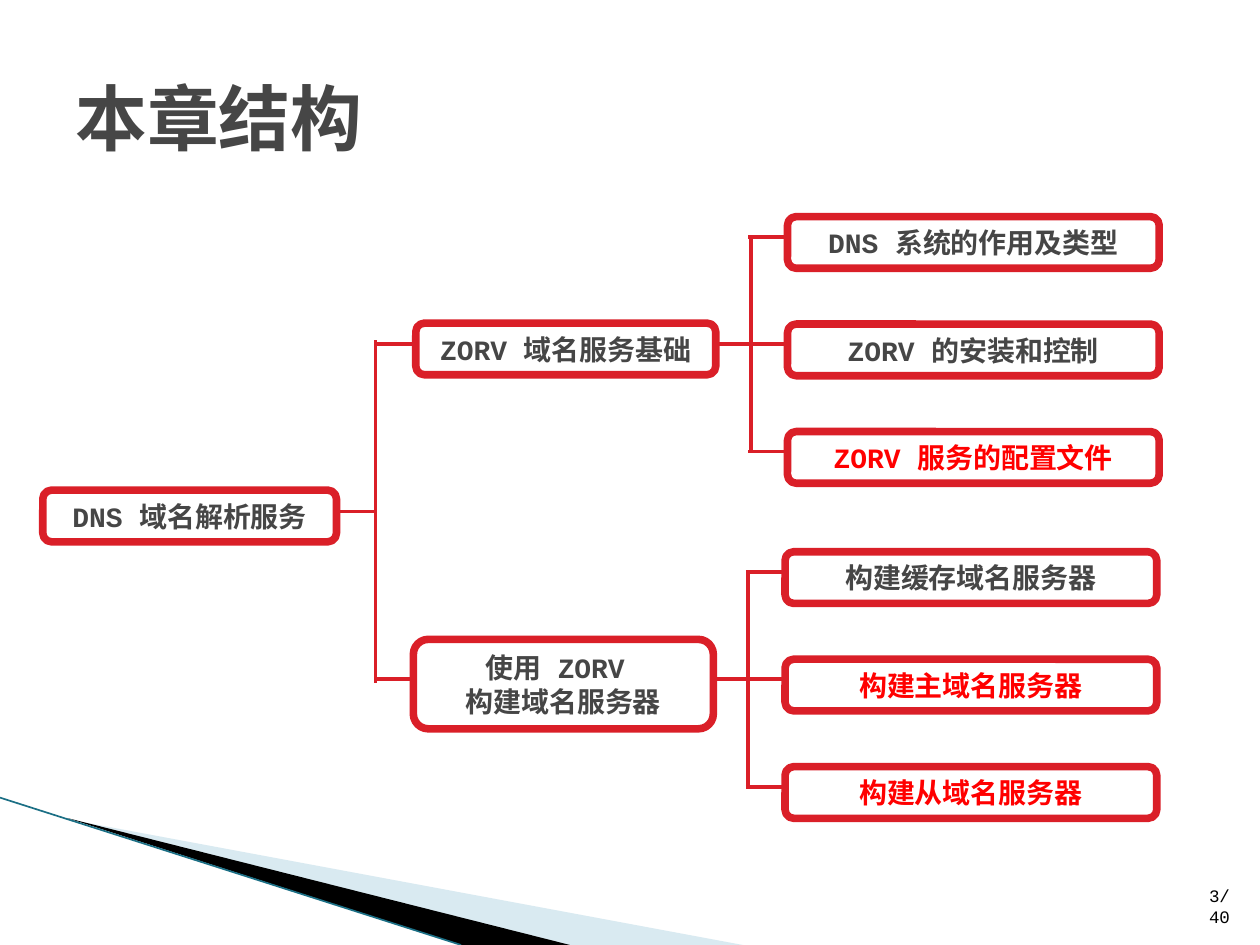
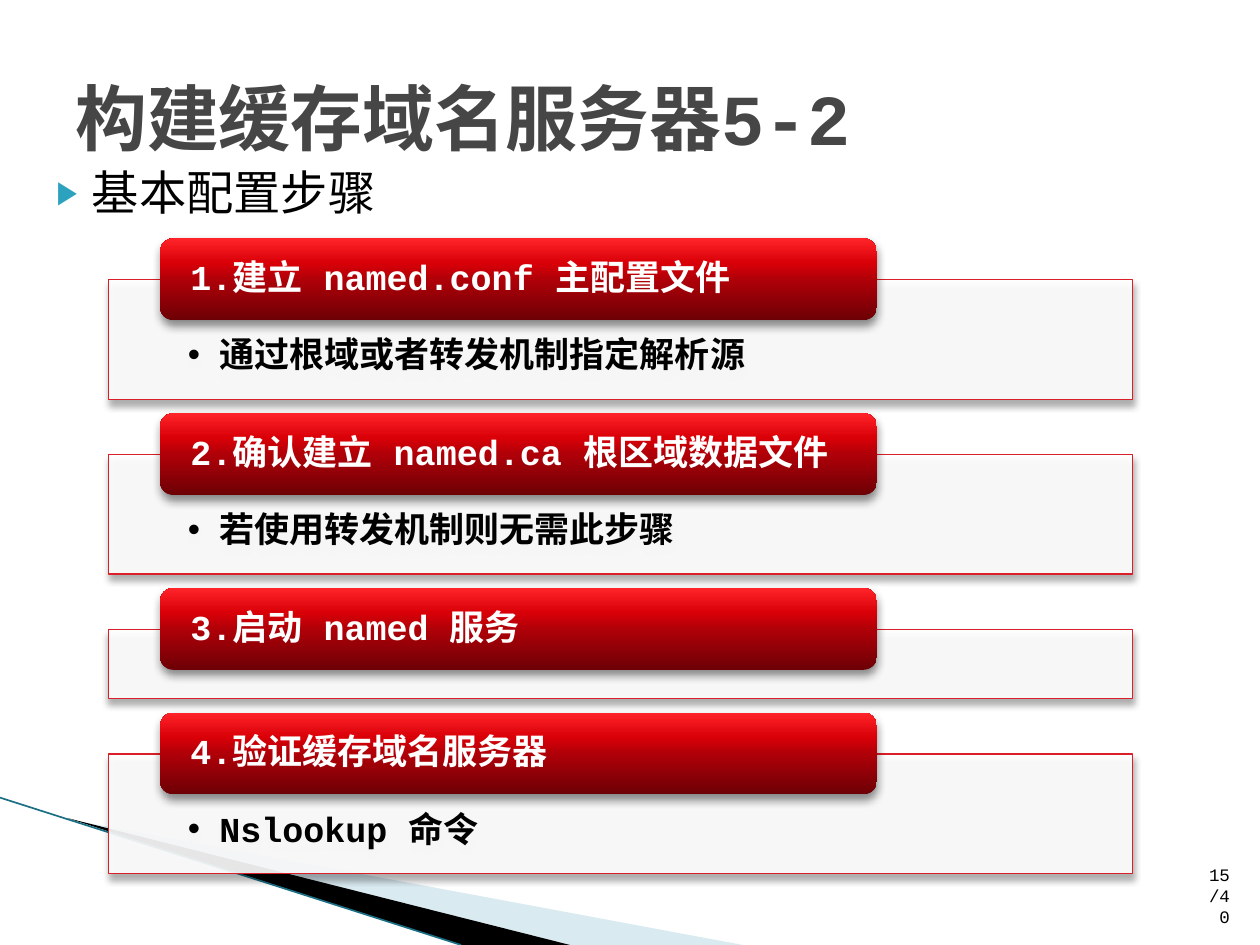
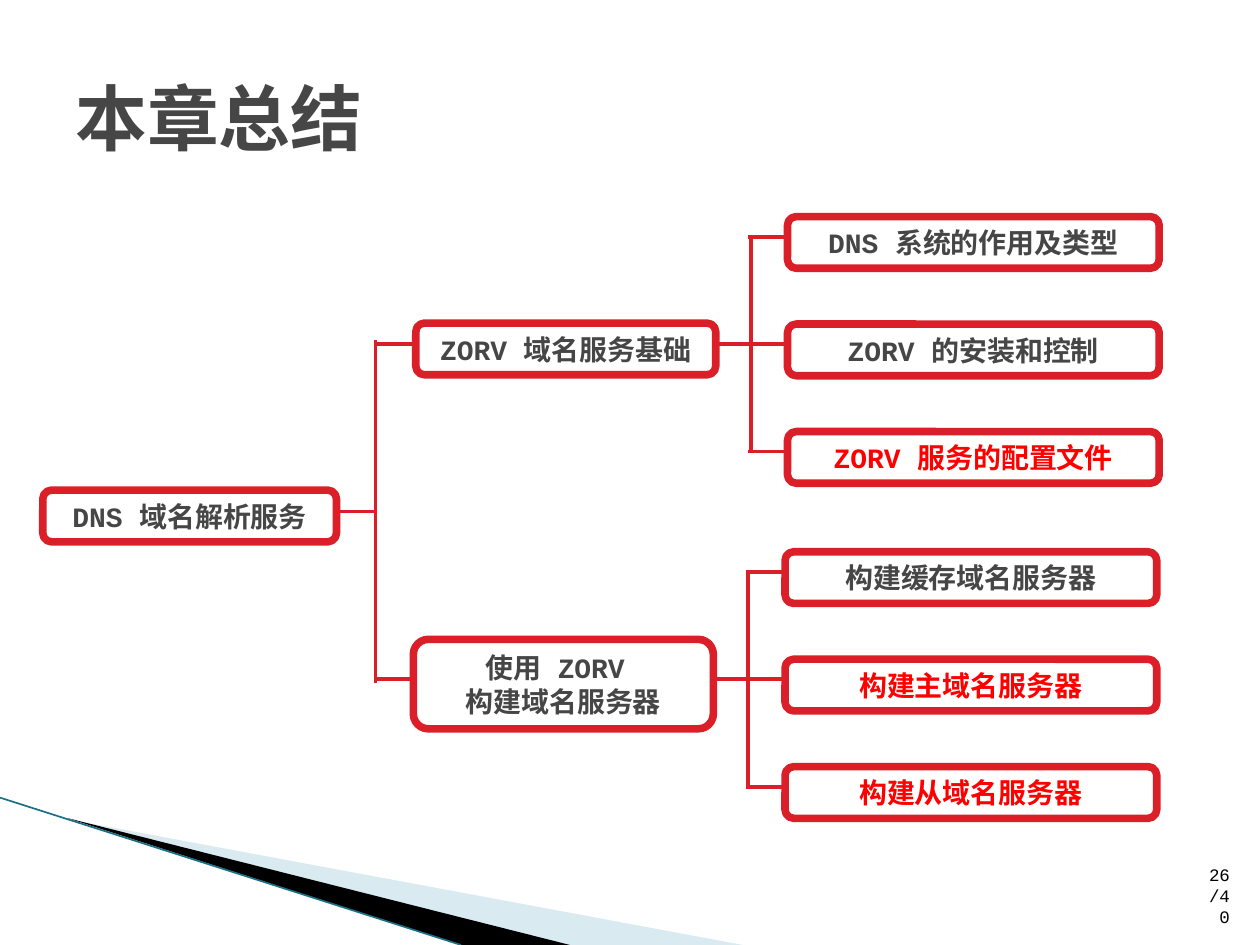
from dataclasses import dataclass
from typing import Optional

from lxml import etree
from pptx import Presentation
from pptx import util as u
from pptx.dml import color as dml
from pptx.enum import shapes as es
from pptx.enum import text as et
from pptx.oxml import ns


@dataclass(frozen=True)
class Theme:
    font: str = "Courier New"
    white: str = "FFFFFF"
    ink: str = "000000"
    heading: str = "464646"
    accent: str = "DA1F28"
    highlight: str = "FF0000"
    marker: str = "2DA2BF"
    swoosh: str = "A0CBDC"
    swoosh_edge: str = "1B6F85"
    title_size: float = 41
    body_size: float = 27
    step_size: float = 20
    node_size: float = 16
    number_size: float = 10
    node_border: float = 4.33
    link_width: float = 2.25


@dataclass(frozen=True)
class Box:
    left: float
    top: float
    width: float
    height: float


@dataclass(frozen=True)
class Leaf:
    label: str
    highlighted: bool = False


@dataclass(frozen=True)
class Branch:
    left: float
    axis: float
    topic: tuple[str, ...]
    topic_height: float
    leaves: tuple[Leaf, ...]


@dataclass(frozen=True)
class Step:
    header: str
    detail: Optional[str] = None


THEME = Theme()
SLIDE_W, SLIDE_H = 720, 540
PAGE_COUNT = 40
NODE_H = 29.5
GRADIENT = ((0, "6D0005"), (50, "B00008"), (70, "DA0008"), (100, "FF2429"))

ROOT_LABEL = "DNS 域名解析服务"
BRANCHES = (
    Branch(215.3, 196.6, ("ZORV 域名服务基础",), NODE_H, (
        Leaf("DNS 系统的作用及类型"),
        Leaf("ZORV 的安装和控制"),
        Leaf("ZORV 服务的配置文件", True),
    )),
    Branch(213.9, 388.1, ("使用 ZORV ", "构建域名服务器"), 51.1, (
        Leaf("构建缓存域名服务器"),
        Leaf("构建主域名服务器", True),
        Leaf("构建从域名服务器", True),
    )),
)
STEPS = (
    Step("1.建立 named.conf 主配置文件", "通过根域或者转发机制指定解析源"),
    Step("2.确认建立 named.ca 根区域数据文件", "若使用转发机制则无需此步骤"),
    Step("3.启动 named 服务"),
    Step("4.验证缓存域名服务器", "Nslookup 命令"),
)


def rgb(value: str) -> dml.RGBColor:
    return dml.RGBColor.from_string(value)


def child(parent, tag: str, **attributes):
    return etree.SubElement(parent, ns.qn(tag), attributes)


def set_alpha(shape, percent: int) -> None:
    fill_color = shape._element.spPr.find(f"{ns.qn('a:solidFill')}/{ns.qn('a:srgbClr')}")
    child(fill_color, "a:alpha", val=str(percent * 1000))


def paint(shape, fill: str, border: Optional[str] = None, width: float = 0) -> None:
    shape.shadow.inherit = False
    shape.fill.solid()
    shape.fill.fore_color.rgb = rgb(fill)
    if border:
        shape.line.color.rgb = rgb(border)
        shape.line.width = u.Pt(width)
    else:
        shape.line.fill.background()


def paint_gradient(shape) -> None:
    shape.fill.gradient()
    shape.fill.gradient_angle = 90
    stops = shape._element.spPr.find(f".//{ns.qn('a:gsLst')}")
    for stop in list(stops):
        stops.remove(stop)
    for position, value in GRADIENT:
        stop = child(stops, "a:gs", pos=str(position * 1000))
        child(stop, "a:srgbClr", val=value)


def cast_shadow(shape, alpha: int, blur: float, distance: float) -> None:
    effects = shape._element.spPr.find(ns.qn("a:effectLst"))
    shadow = child(effects, "a:outerShdw", blurRad=str(u.Pt(blur)), dist=str(u.Pt(distance)),
                   dir="5400000", rotWithShape="0")
    child(child(shadow, "a:srgbClr", val=THEME.ink), "a:alpha", val=str(alpha * 1000))


def add_bullet(paragraph, symbol: str, margin: float, hang: float,
               color: Optional[str] = None, size: int = 100) -> None:
    properties = paragraph._p.get_or_add_pPr()
    properties.set("marL", str(u.Pt(margin)))
    properties.set("indent", str(-u.Pt(hang)))
    if color:
        child(child(properties, "a:buClr"), "a:srgbClr", val=color)
    child(properties, "a:buSzPct", val=str(size * 1000))
    child(properties, "a:buFont", typeface="Arial")
    child(properties, "a:buChar", char=symbol)


def write(shape, lines: tuple[str, ...], size: float, color: str, bold: bool = False,
          align=et.PP_ALIGN.LEFT, anchor=et.MSO_ANCHOR.MIDDLE,
          insets: tuple[float, float, float, float] = (7.2, 3.6, 7.2, 3.6)):
    frame = shape.text_frame
    frame.word_wrap = True
    frame.vertical_anchor = anchor
    (frame.margin_left, frame.margin_top,
     frame.margin_right, frame.margin_bottom) = map(u.Pt, insets)
    for index, line in enumerate(lines):
        paragraph = frame.add_paragraph() if index else frame.paragraphs[0]
        paragraph.alignment = align
        run = paragraph.add_run()
        run.text = line
        run.font.size = u.Pt(size)
        run.font.bold = bold
        run.font.color.rgb = rgb(color)
        run.font.name = THEME.font
        child(run._r.get_or_add_rPr(), "a:ea", typeface=THEME.font)
    return frame.paragraphs[0]


def add_box(slide, kind, box: Box):
    return slide.shapes.add_shape(kind, u.Pt(box.left), u.Pt(box.top),
                                  u.Pt(box.width), u.Pt(box.height))


def add_text_area(slide, box: Box):
    return slide.shapes.add_textbox(u.Pt(box.left), u.Pt(box.top),
                                    u.Pt(box.width), u.Pt(box.height))


def add_link(slide, x1: float, y1: float, x2: float, y2: float,
             color: str = THEME.accent, width: float = THEME.link_width) -> None:
    link = slide.shapes.add_connector(es.MSO_CONNECTOR.STRAIGHT,
                                      u.Pt(x1), u.Pt(y1), u.Pt(x2), u.Pt(y2))
    link.line.color.rgb = rgb(color)
    link.line.width = u.Pt(width)
    child(link._element.spPr, "a:effectLst")


def add_wedge(slide, points: tuple[tuple[float, float], ...], color: str):
    start, *rest = [(u.Pt(x), u.Pt(y)) for x, y in points]
    builder = slide.shapes.build_freeform(*start)
    builder.add_line_segments(rest, close=True)
    wedge = builder.convert_to_shape()
    paint(wedge, color)
    return wedge


def add_page(deck, title: str, number: int):
    slide = deck.slides.add_slide(deck.slide_layouts[6])
    pale = add_wedge(slide, ((39.5, 468.3), (424.6, SLIDE_H), (325.5, SLIDE_H)), THEME.swoosh)
    set_alpha(pale, 40)
    add_wedge(slide, ((38.5, 467.5), (325.7, SLIDE_H), (263.5, SLIDE_H)), THEME.ink)
    add_link(slide, 0, 455.8, 263.5, SLIDE_H, THEME.swoosh_edge, 0.95)
    write(add_text_area(slide, Box(681.1, 504.7, 28.8, 28.8)), (f"{number}/{PAGE_COUNT}",),
          THEME.number_size, THEME.ink, align=et.PP_ALIGN.RIGHT, anchor=et.MSO_ANCHOR.BOTTOM)
    write(add_text_area(slide, Box(36, 21.6, 648, 90)), (title,),
          THEME.title_size, THEME.heading, bold=True)
    return slide


def add_node(slide, box: Box, lines: tuple[str, ...], highlighted: bool = False) -> None:
    node = add_box(slide, es.MSO_SHAPE.ROUNDED_RECTANGLE, box)
    paint(node, THEME.white, THEME.accent, THEME.node_border)
    write(node, lines, THEME.node_size, THEME.highlight if highlighted else THEME.heading,
          bold=True, align=et.PP_ALIGN.CENTER)
    node.text_frame.auto_size = et.MSO_AUTO_SIZE.SHAPE_TO_FIT_TEXT


def add_branch(slide, branch: Branch) -> None:
    pitch = 61.4
    fork = branch.left + 212.4
    spine = fork + 1.2
    first_axis = branch.axis - pitch
    add_link(slide, branch.left, branch.axis, fork, branch.axis)
    add_link(slide, spine, first_axis, spine, branch.axis + pitch + 1)
    for index in range(len(branch.leaves)):
        axis = first_axis + index * pitch
        add_link(slide, fork, axis, fork + 28.4, axis)
    add_node(slide, Box(branch.left + 22.3, branch.axis + 2.8 - branch.topic_height / 2,
                        171.4, branch.topic_height), branch.topic)
    for index, leaf in enumerate(branch.leaves):
        add_node(slide, Box(fork + 22.3, first_axis + index * pitch - 11.4, 212.4, NODE_H),
                 (leaf.label,), leaf.highlighted)


def add_chapter_tree(deck, title: str, number: int) -> None:
    slide = add_page(deck, title, number)
    trunk = 214.6
    add_link(slide, 186.5, 292.3, trunk, 292.3)
    add_link(slide, trunk, 194.4, trunk, 390.2)
    add_node(slide, Box(24.5, 280.1, 167.8, NODE_H), (ROOT_LABEL,))
    for branch in BRANCHES:
        add_branch(slide, branch)


def add_step(slide, step: Step, top: float, height: float) -> None:
    panel = add_box(slide, es.MSO_SHAPE.RECTANGLE, Box(61.9, top, 585.4, height))
    paint(panel, THEME.white, THEME.accent, 0.75)
    set_alpha(panel, 90)
    cast_shadow(panel, 35, 4, 3)
    if step.detail:
        detail = write(panel, (step.detail,), THEME.step_size, THEME.ink, bold=True,
                       anchor=et.MSO_ANCHOR.TOP, insets=(45.4, 33.1, 45.4, 11.5))
        detail.line_spacing = 0.9
        add_bullet(detail, "•", 18, 18)

    header = add_box(slide, es.MSO_SHAPE.ROUNDED_RECTANGLE, Box(91.4, top - 23.6, 409.7, 46.8))
    paint(header, THEME.accent)
    paint_gradient(header)
    cast_shadow(header, 45, 5, 3)
    caption = write(header, (step.header,), THEME.step_size, THEME.white, bold=True,
                    insets=(15.1, 0, 6, 0))
    caption.line_spacing = 0.9


def add_steps_page(deck, title: str, number: int) -> None:
    slide = add_page(deck, title, number)
    lead = write(add_text_area(slide, Box(16.6, 90, 669.6, 404.6)), ("基本配置步骤",),
                 THEME.body_size, THEME.ink, anchor=et.MSO_ANCHOR.TOP)
    lead.space_before = u.Pt(6.8)
    add_bullet(lead, "▶", 28.8, 20.2, THEME.marker, 68)
    top = 159.8
    for step in STEPS:
        height = 68.4 if step.detail else 39.7
        add_step(slide, step, top, height)
        top += height + 31.5


def main() -> None:
    deck = Presentation()
    deck.slide_width, deck.slide_height = u.Pt(SLIDE_W), u.Pt(SLIDE_H)
    add_chapter_tree(deck, "本章结构", 3)
    add_steps_page(deck, "构建缓存域名服务器5-2", 15)
    add_chapter_tree(deck, "本章总结", 26)
    deck.save("out.pptx")


if __name__ == "__main__":
    main()
